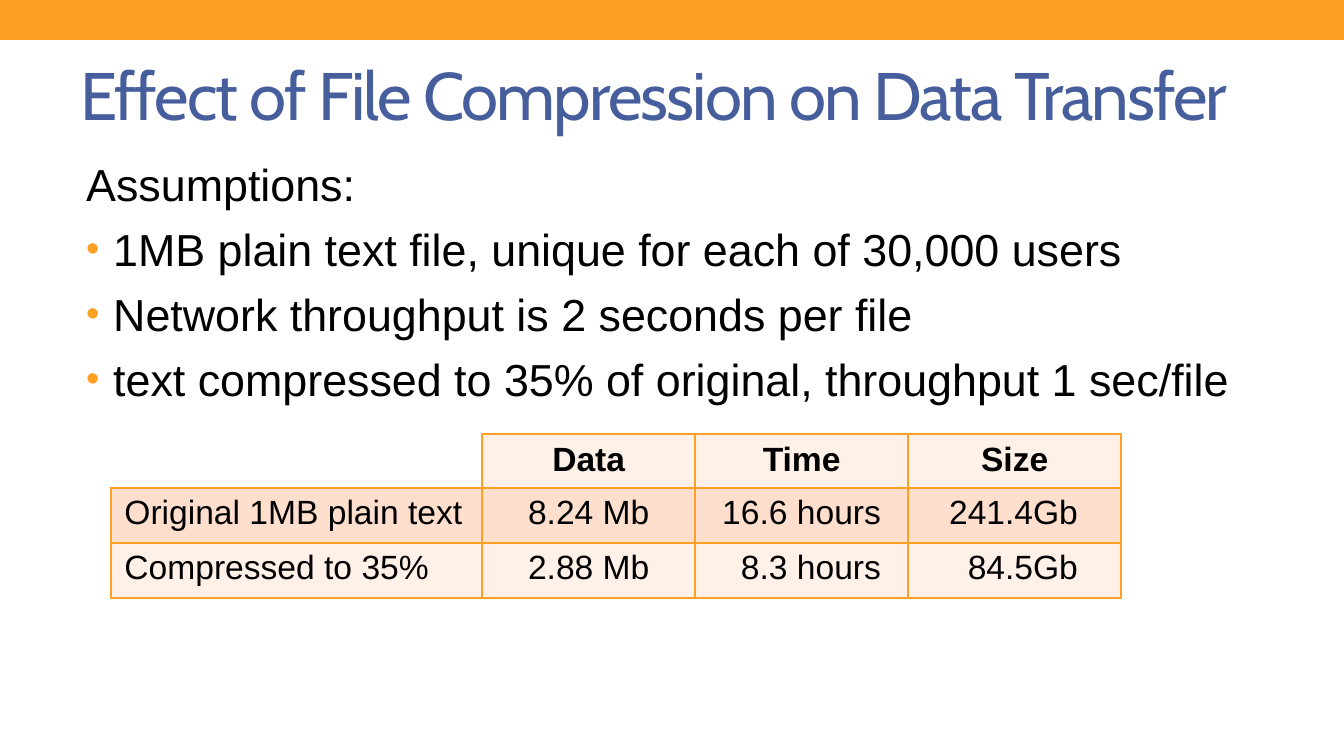
from lxml import etree
from pptx import Presentation
from pptx import util as u
from pptx.dml.color import RGBColor
from pptx.enum import shapes, text
from pptx.oxml import ns

PX = 914400 / 134.4
ORANGE = RGBColor(0xFD, 0xA0, 0x23)
BLUE = RGBColor(0x46, 0x5E, 0x9C)
BLACK = RGBColor(0, 0, 0)
PALE = RGBColor(0xFF, 0xF0, 0xE8)
PEACH = RGBColor(0xFE, 0xDF, 0xCD)

LEFT, CENTER, RIGHT = text.PP_ALIGN.LEFT, text.PP_ALIGN.CENTER, text.PP_ALIGN.RIGHT
TITLE = {"name": "Cabin", "size": u.Pt(36)}
BODY = {"name": "Arial", "size": u.Pt(24)}
CELL = {"name": "Arial", "size": u.Pt(18), "bold": False}
HEADER = {**CELL, "bold": True}


def px(n):
    return u.Emu(round(n * PX))


def add(parent, tag, **attrs):
    return etree.SubElement(parent, ns.qn(tag), attrs)


class Deck:
    def __init__(self, width, height):
        self.prs = Presentation()
        self.prs.slide_width, self.prs.slide_height = px(width), px(height)
        self.s = self.prs.slides.add_slide(self.prs.slide_layouts[6])

    def style(self, font, fmt, color=BLACK):
        for key, value in fmt.items():
            setattr(font, key, value)
        font.color.rgb = color

    def bar(self, box, color):
        sp = self.s.shapes.add_shape(shapes.MSO_SHAPE.RECTANGLE, *map(px, box))
        sp.shadow.inherit = False
        sp.fill.solid()
        sp.fill.fore_color.rgb = color
        sp.line.fill.background()

    def text_frame(self, box, anchor, top=7):
        tf = self.s.shapes.add_textbox(*map(px, box)).text_frame
        tf.word_wrap = True
        tf.vertical_anchor = anchor
        tf.margin_top = px(top)
        return tf

    def title(self, box, words):
        tf = self.text_frame(box, text.MSO_ANCHOR.MIDDLE)
        r = tf.paragraphs[0].add_run()
        r.text = words
        self.style(r.font, TITLE, BLUE)
        r.font._element.set("spc", "-100")

    def bullet(self, p):
        pPr = p._p.get_or_add_pPr()
        pPr.set("marL", str(px(27)))
        pPr.set("indent", str(px(-27)))
        add(add(pPr, "a:buClr"), "a:srgbClr", val=str(ORANGE))
        add(pPr, "a:buSzPct", val="85000")
        add(pPr, "a:buFont", typeface="Arial")
        add(pPr, "a:buChar", char="•")

    def body(self, box, lead, items):
        tf = self.text_frame(box, text.MSO_ANCHOR.TOP, top=12)
        for i, words in enumerate([lead, *items]):
            p = tf.add_paragraph() if i else tf.paragraphs[0]
            if i:
                p.space_before = u.Pt(6)
                self.bullet(p)
            r = p.add_run()
            r.text = words
            self.style(r.font, BODY)

    def borders(self, cell, sides):
        tcPr = cell._tc.get_or_add_tcPr()
        for side in "LRTB":
            ln = add(tcPr, f"a:ln{side}", w=str(u.Pt(1)))
            if side in sides:
                add(add(ln, "a:solidFill"), "a:srgbClr", val=str(ORANGE))
            else:
                add(ln, "a:noFill")

    def table(self, box, widths, heights, rows, columns):
        table = self.s.shapes.add_table(len(rows), len(widths), *map(px, box)).table
        table.first_row = table.horz_banding = False
        for col, width in zip(table.columns, widths):
            col.width = px(width)
        for row, height in zip(table.rows, heights):
            row.height = px(height)
        for i, row in enumerate(rows):
            for j, words in enumerate(row):
                cell = table.cell(i, j)
                corner = i == j == 0
                self.borders(cell, "RB" if corner else "LRTB")
                if corner:
                    cell.fill.background()
                    continue
                cell.fill.solid()
                cell.fill.fore_color.rgb = PEACH if i % 2 else PALE
                align, margin = columns[j] if i else (CENTER, 13)
                cell.margin_right = px(margin)
                p = cell.text_frame.paragraphs[0]
                p.alignment = align
                r = p.add_run()
                r.text = words
                self.style(r.font, CELL if i else HEADER)


def main():
    deck = Deck(1344, 756)

    # Top band and heading
    deck.bar((0, 0, 1344, 40), ORANGE)
    deck.title((67, 39, 1277, 109), "Effect of File Compression on Data Transfer")

    # Assumptions
    deck.body((73, 145, 1277, 265), "Assumptions:", [
        "1MB plain text file, unique for each of 30,000 users",
        "Network throughput is 2 seconds per file",
        "text compressed to 35% of original, throughput 1 sec/file",
    ])

    # Comparison table, with numbers lined up on the right
    deck.table(
        (111, 434, 1010, 161), [371, 213, 213, 213], [51, 55, 55],
        [["", "Data", "Time", "Size"],
         ["Original 1MB plain text", "8.24 Mb", "16.6 hours", "241.4Gb"],
         ["Compressed to 35%", "2.88 Mb", "8.3 hours", "84.5Gb"]],
        [(LEFT, 13), (CENTER, 13), (RIGHT, 27), (RIGHT, 43)],
    )
    deck.prs.save("out.pptx")


if __name__ == "__main__":
    main()
